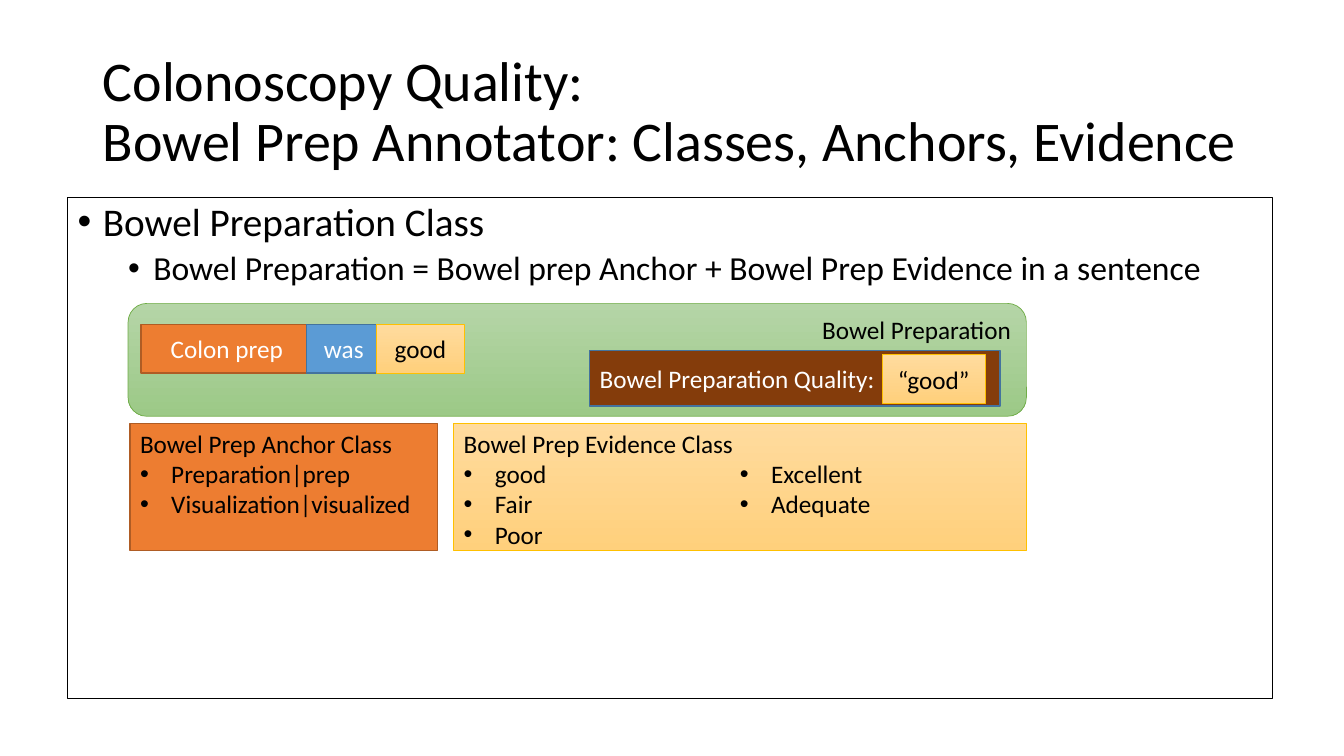
"""Builds the bowel prep annotator slide: classes, anchors and evidence."""
import dataclasses
import typing

import lxml.etree
import pptx
import pptx.dml.color
import pptx.enum.shapes
import pptx.enum.text
import pptx.oxml.ns
import pptx.util

ALIGN = pptx.enum.text.PP_ALIGN
ANCHOR = pptx.enum.text.MSO_ANCHOR
SHAPE = pptx.enum.shapes.MSO_SHAPE
EMU_PER_PX = 9144


@dataclasses.dataclass(frozen=True)
class Paint:
    fill: tuple[str, ...]
    line: str
    width: float
    ink: str


@dataclasses.dataclass(frozen=True)
class Theme:
    font: str = "Calibri"
    black: str = "000000"
    title_size: int = 40
    class_size: int = 28
    rule_size: int = 24
    label_size: int = 18
    page: Paint = Paint(("FFFFFF",), "000000", 1, "000000")
    sentence: Paint = Paint(("B5D5A7", "9CC987"), "70AD47", 0.5, "000000")
    anchor: Paint = Paint(("ED7D31",), "AF5C24", 1, "FFFFFF")
    anchor_class: Paint = Paint(("ED7D31",), "AF5C24", 1, "000000")
    verb: Paint = Paint(("5B9BD5",), "43739E", 1, "FFFFFF")
    evidence: Paint = Paint(("FFDB9E", "FFD07C"), "FFC000", 0.5, "000000")
    quality: Paint = Paint(("843C0B",), "43739E", 1, "FFFFFF")


THEME = Theme()


@dataclasses.dataclass(frozen=True)
class Frame:
    left: int
    top: int
    width: int
    height: int


@dataclasses.dataclass(frozen=True)
class Box:
    frame: Frame
    paint: Paint
    heading: str
    items: tuple[str, ...] = ()
    align: ALIGN = ALIGN.CENTER
    anchor: ANCHOR = ANCHOR.MIDDLE
    outline: SHAPE = SHAPE.RECTANGLE


BOXES = (
    Box(Frame(127, 301, 891, 112), THEME.sentence, "Bowel Preparation",
        align=ALIGN.RIGHT, anchor=ANCHOR.TOP, outline=SHAPE.ROUNDED_RECTANGLE),
    Box(Frame(140, 322, 170, 48), THEME.anchor, "Colon prep"),
    Box(Frame(304, 322, 74, 48), THEME.verb, "was"),
    Box(Frame(373, 322, 88, 48), THEME.evidence, "good"),
    Box(Frame(129, 420, 305, 126), THEME.anchor_class, "Bowel Prep Anchor Class",
        ("Preparation|prep", "Visualization|visualized"), ALIGN.LEFT, ANCHOR.TOP),
    Box(Frame(450, 420, 568, 126), THEME.evidence, "Bowel Prep Evidence Class",
        ("good", "Fair", "Poor"), ALIGN.LEFT, ANCHOR.TOP),
    Box(Frame(585, 348, 407, 55), THEME.quality, "Bowel Preparation Quality:", align=ALIGN.LEFT),
    Box(Frame(875, 352, 102, 48), THEME.evidence, "“good”"),
)
MORE_EVIDENCE = Frame(724, 450, 294, 96)


def px(length: int) -> pptx.util.Emu:
    return pptx.util.Emu(length * EMU_PER_PX)


def rgb(value: str) -> pptx.dml.color.RGBColor:
    return pptx.dml.color.RGBColor.from_string(value)


def place(shape: typing.Any, frame: Frame) -> None:
    shape.left, shape.top = px(frame.left), px(frame.top)
    shape.width, shape.height = px(frame.width), px(frame.height)


def paint_shape(shape: typing.Any, paint: Paint) -> None:
    if len(paint.fill) == 1:
        shape.fill.solid()
        shape.fill.fore_color.rgb = rgb(paint.fill[0])
    else:
        shape.fill.gradient()
        shape.fill.gradient_angle = 270
        for stop, colour in zip(shape.fill.gradient_stops, paint.fill):
            stop.color.rgb = rgb(colour)
    shape.line.color.rgb = rgb(paint.line)
    shape.line.width = pptx.util.Pt(paint.width)


def style(paragraph: typing.Any, size: int, ink: str, align: ALIGN = ALIGN.LEFT) -> None:
    paragraph.alignment = align
    for run in paragraph.runs:
        run.font.name = THEME.font
        run.font.size = pptx.util.Pt(size)
        run.font.color.rgb = rgb(ink)


def add_bullet(paragraph: typing.Any, indent: int, hanging: int) -> None:
    properties = paragraph._p.get_or_add_pPr()
    properties.set("marL", str(px(indent)))
    properties.set("indent", str(-px(hanging)))
    qn = pptx.oxml.ns.qn
    lxml.etree.SubElement(properties, qn("a:buFont"), typeface="Arial")
    lxml.etree.SubElement(properties, qn("a:buChar"), char="•")


def write_class(text_frame: typing.Any, lines: tuple[str, ...], ink: str,
                align: ALIGN, first_item: int) -> None:
    text_frame.word_wrap = True
    text_frame.text = "\n".join(lines)
    for index, paragraph in enumerate(text_frame.paragraphs):
        if index >= first_item:
            add_bullet(paragraph, 31, 31)
        style(paragraph, THEME.label_size, ink, align)


def add_box(slide: typing.Any, box: Box) -> None:
    shape = slide.shapes.add_shape(box.outline, 0, 0, 0, 0)
    place(shape, box.frame)
    shape.shadow.inherit = False
    paint_shape(shape, box.paint)
    shape.text_frame.vertical_anchor = box.anchor
    write_class(shape.text_frame, (box.heading, *box.items), box.paint.ink, box.align, 1)


def write_title(title: typing.Any) -> None:
    place(title, Frame(92, 40, 1150, 145))
    title.text_frame.text = "Colonoscopy Quality:\vBowel Prep Annotator: Classes, Anchors, Evidence"
    title.text_frame.vertical_anchor = ANCHOR.MIDDLE
    title.text_frame.auto_size = pptx.enum.text.MSO_AUTO_SIZE.NONE
    heading = title.text_frame.paragraphs[0]
    heading.line_spacing = 0.9
    style(heading, THEME.title_size, THEME.black)


def write_definition(body: typing.Any) -> None:
    place(body, Frame(67, 196, 1195, 497))
    paint_shape(body, THEME.page)
    body.text_frame.text = ("Bowel Preparation Class\n"
                            "Bowel Preparation = Bowel prep Anchor + Bowel Prep Evidence in a sentence")
    body.text_frame.auto_size = pptx.enum.text.MSO_AUTO_SIZE.NONE
    sizes = (THEME.class_size, THEME.rule_size)
    for level, (paragraph, size) in enumerate(zip(body.text_frame.paragraphs, sizes)):
        add_bullet(paragraph, 25 + 50 * level, 25)
        paragraph.level = level
        paragraph.line_spacing = 0.9
        paragraph.space_before = pptx.util.Pt(5 * level)
        style(paragraph, size, THEME.black)


def main() -> None:
    deck = pptx.Presentation()
    deck.slide_width, deck.slide_height = px(1333), px(750)
    slide = deck.slides.add_slide(deck.slide_layouts[1])
    write_title(slide.shapes.title)
    write_definition(slide.placeholders[1])
    for box in BOXES:
        add_box(slide, box)
    more_evidence = slide.shapes.add_textbox(0, 0, 0, 0)
    place(more_evidence, MORE_EVIDENCE)
    write_class(more_evidence.text_frame, ("Excellent", "Adequate"), THEME.black, ALIGN.LEFT, 0)
    deck.save("out.pptx")


if __name__ == "__main__":
    main()
